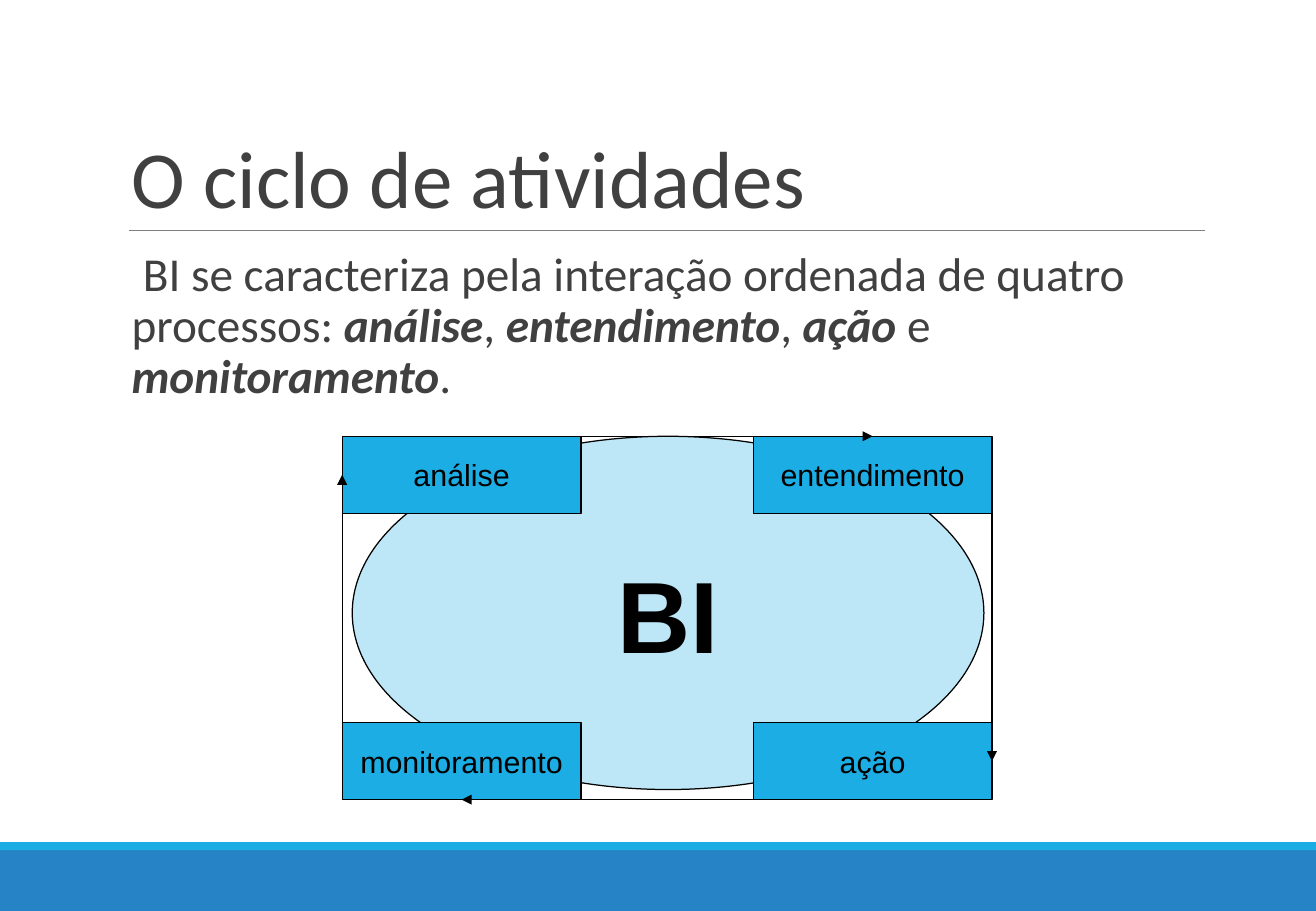
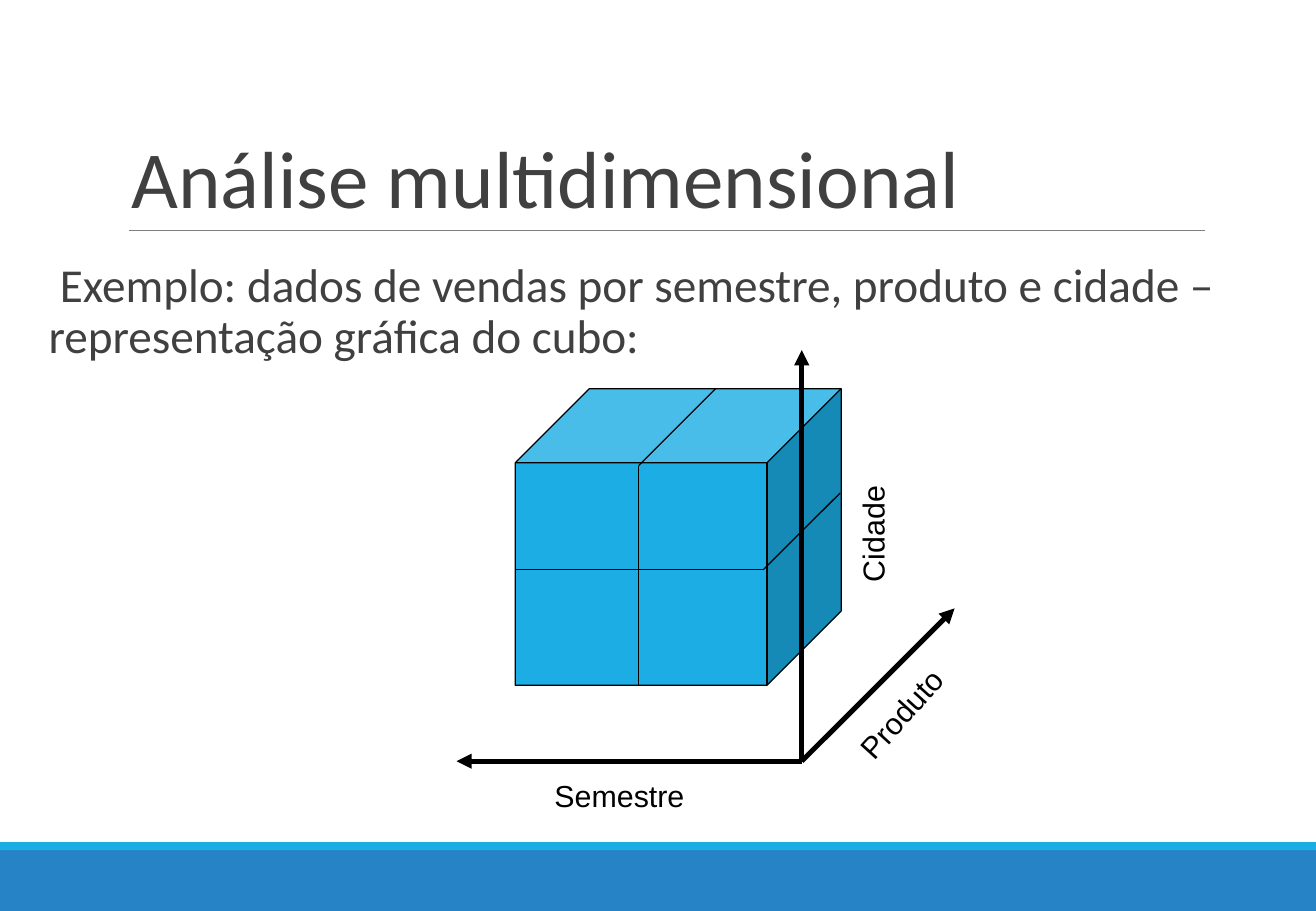
from lxml import etree
from pptx import Presentation
from pptx.dml.color import RGBColor
from pptx.enum.shapes import MSO_CONNECTOR, MSO_SHAPE
from pptx.enum.text import MSO_ANCHOR, MSO_AUTO_SIZE, PP_ALIGN
from pptx.oxml.ns import qn
from pptx.util import Pt

PX = 7620  # 120 px to the inch
TOP, LEFT, BOTTOM, RIGHT = range(4)
STRAIGHT = MSO_CONNECTOR.STRAIGHT
RECTANGLE, ELLIPSE, CUBE = MSO_SHAPE.RECTANGLE, MSO_SHAPE.OVAL, MSO_SHAPE.CUBE
MIDDLE, BASE = MSO_ANCHOR.MIDDLE, MSO_ANCHOR.BOTTOM
CENTER, START = PP_ALIGN.CENTER, PP_ALIGN.LEFT
COLORS = {
    "accent": "1CADE4",
    "band": "2683C6",
    "text": "404040",
    "rule": "7F7F7F",
    "black": "000000",
}


def rgb(name):
    return RGBColor.from_string(COLORS[name])


def put_text(shape, text, size=18, font="Arial", color="black", bold=False, align=START,
             anchor=MSO_ANCHOR.TOP, spacing=None, hanging=False, wrap=True):
    """Fill a shape with one paragraph; parts between asterisks are bold italic."""
    frame = shape.text_frame
    frame.word_wrap = wrap
    frame.auto_size = MSO_AUTO_SIZE.NONE
    frame.vertical_anchor = anchor
    paragraph = frame.paragraphs[0]
    if hanging:
        frame.margin_left = frame.margin_right = 0
        properties = paragraph._p.get_or_add_pPr()
        properties.set("marL", str(12 * PX))
        properties.set("indent", str(-12 * PX))
        bullet_color = etree.SubElement(properties, qn("a:buClr"))
        etree.SubElement(bullet_color, qn("a:srgbClr"), val=COLORS["accent"])
        etree.SubElement(properties, qn("a:buChar"), char=" ")
    paragraph.alignment = align
    if spacing:
        paragraph.line_spacing = spacing
    for index, part in enumerate(text.split("*")):
        run = paragraph.add_run()
        run.text = part
        run.font.name = font
        run.font.size = Pt(size)
        run.font.color.rgb = rgb(color)
        run.font.bold = bold or index % 2 == 1
        run.font.italic = index % 2 == 1


presentation = Presentation()
presentation.slide_width = 1300 * PX
presentation.slide_height = 900 * PX
title_only = presentation.slide_layouts[5]


def add_shape(slide, kind, box, fill, outlined=True):
    shape = slide.shapes.add_shape(kind, *(value * PX for value in box))
    shape.shadow.inherit = False
    shape.fill.solid()
    shape.fill.fore_color.rgb = rgb(fill)
    if outlined:
        shape.line.color.rgb = rgb("black")
        shape.line.width = Pt(0.75)
    else:
        shape.line.fill.background()
    return shape


# Shared frame, title and introduction
pages = [
    ("O ciclo de atividades", (118, 242, 1073, 528),
     "BI se caracteriza pela interação ordenada de quatro processos: "
     "*análise*, *entendimento*, *ação* e *monitoramento*."),
    ("Análise multidimensional", (36, 253, 1238, 187),
     "Exemplo: dados de vendas por semestre, produto e cidade – "
     "representação gráfica do cubo:"),
]
slides = []
lines = []  # (connector, color, width, has arrowhead)
for title_text, body_box, body_text in pages:
    slide = presentation.slides.add_slide(title_only)
    slides.append(slide)
    add_shape(slide, RECTANGLE, (0, 840, 1300, 60), "band", outlined=False)
    add_shape(slide, RECTANGLE, (0, 832, 1300, 8), "accent", outlined=False)
    rule = slide.shapes.add_connector(STRAIGHT, 127 * PX, 228 * PX, 1190 * PX, 228 * PX)
    lines.append((rule, "rule", 0.75, False))
    title = slide.shapes.title
    title.left, title.top, title.width, title.height = (
        value * PX for value in (118, 37, 1073, 191))
    put_text(title, title_text, size=48, font="Calibri", color="text", anchor=BASE,
             spacing=0.85)
    body = slide.shapes.add_textbox(*(value * PX for value in body_box))
    put_text(body, body_text, size=28, font="Calibri", color="text", spacing=0.9,
             hanging=True)
cycle_slide, cube_slide = slides

# Cycle of four processes around the ellipse
ellipse = add_shape(cycle_slide, ELLIPSE, (348, 431, 624, 349), "accent")
fill_color = ellipse._element.spPr.find(qn("a:solidFill")).find(qn("a:srgbClr"))
etree.SubElement(fill_color, qn("a:alpha"), val="29000")
put_text(ellipse, "BI", size=60, bold=True, align=CENTER, anchor=MIDDLE)

processes = {}
for name, x, y in [("análise", 338, 431), ("entendimento", 744, 431),
                   ("ação", 744, 714), ("monitoramento", 338, 714)]:
    box = add_shape(cycle_slide, RECTANGLE, (x, y, 236, 76), "accent")
    put_text(box, name, align=CENTER, anchor=MIDDLE, wrap=False)
    processes[name] = box

for source, target, side in [("análise", "entendimento", TOP),
                             ("entendimento", "ação", RIGHT),
                             ("ação", "monitoramento", BOTTOM),
                             ("monitoramento", "análise", LEFT)]:
    arrow = cycle_slide.shapes.add_connector(STRAIGHT, 0, 0, 0, 0)
    arrow.begin_connect(processes[source], side)
    arrow.end_connect(processes[target], side)
    lines.append((arrow, "black", 0.75, True))

# Cube with its axes and divisions
cube = add_shape(cube_slide, CUBE, (509, 384, 322, 293), "accent")
cube.adjustments[0] = 0.25
origin = (792, 752)
axes = [(origin, end, 3, True) for end in [(792, 346), (451, 752), (943, 601)]]
divisions = [(start, end, 0.75, False) for start, end in [
    ((631, 460), (631, 677)), ((631, 460), (707, 384)),
    ((509, 563), (754, 563)), ((754, 563), (830, 487))]]
for start, end, width, has_arrow in axes + divisions:
    line = cube_slide.shapes.add_connector(
        STRAIGHT, *(value * PX for value in start + end))
    lines.append((line, "black", width, has_arrow))

for name, box, rotation in [("Semestre", (536, 762, 264, 48), 0),
                            ("Produto", (811, 648, 217, 48), 312),
                            ("Cidade", (730, 431, 264, 48), 270)]:
    label = cube_slide.shapes.add_textbox(*(value * PX for value in box))
    label.rotation = rotation
    put_text(label, name)

# Line style
for connector, color, width, has_arrow in lines:
    connector.line.color.rgb = rgb(color)
    connector.line.width = Pt(width)
    properties = connector._element.spPr
    if has_arrow:
        etree.SubElement(properties.find(qn("a:ln")), qn("a:tailEnd"), type="triangle")
    etree.SubElement(properties, qn("a:effectLst"))

presentation.save("out.pptx")
